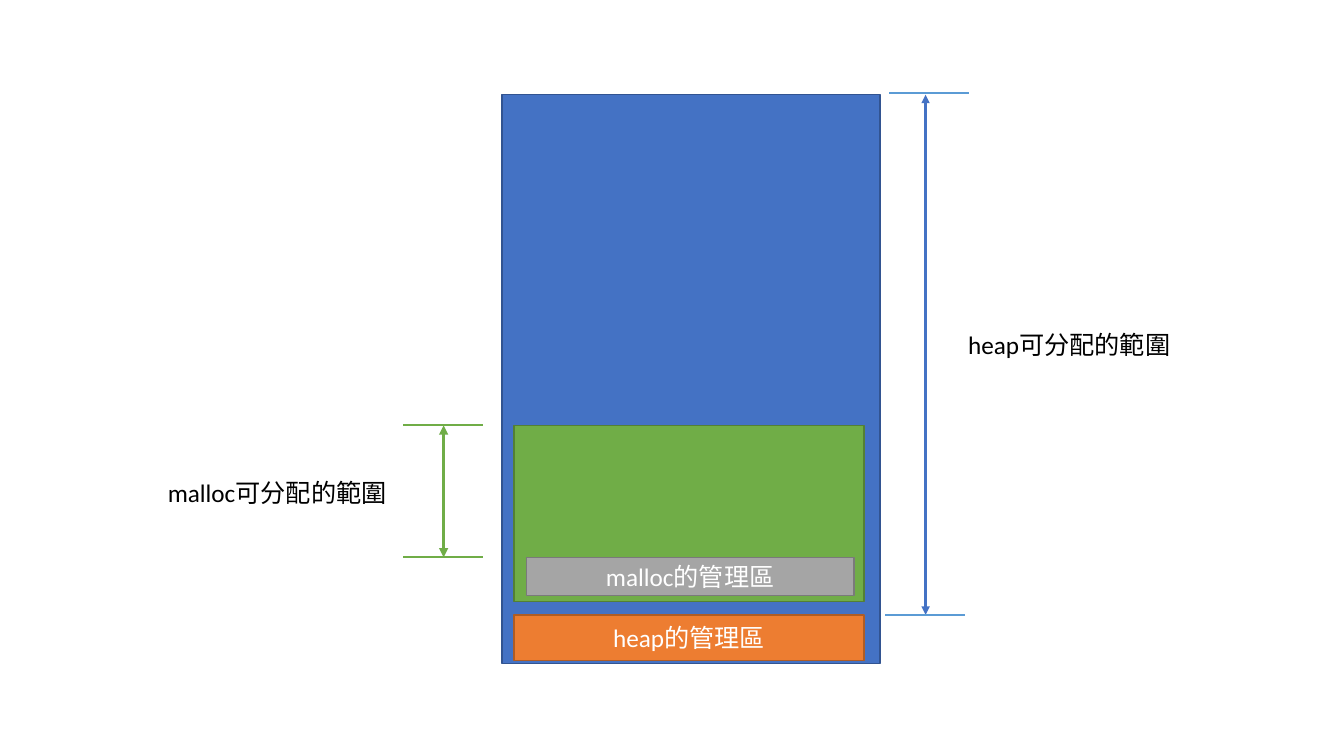
from pptx import Presentation, util as u
from pptx.dml.color import RGBColor
from pptx.enum import shapes, text
from pptx.oxml.ns import qn
from lxml import etree

HUES = {
    "blue": "4472C4", "navy": "325491", "orange": "ED7D31", "rust": "AF5C24",
    "green": "70AD47", "moss": "538035", "gray": "A5A5A5", "slate": "7A7A7A",
    "sky": "5B9BD5", "white": "FFFFFF", "black": "000000",
}


class Page:
    """Holds the style and the slide being drawn."""

    def __init__(self, slide, font="Calibri", size=18):
        self.items, self.font, self.size = slide.shapes, font, size

    def hue(self, name):
        return RGBColor.from_string(HUES[name])

    def letter(self, frame, words, hue):
        frame.word_wrap = True
        para = frame.paragraphs[0]
        para.text = words
        para.alignment = text.PP_ALIGN.CENTER
        para.font.name, para.font.size = self.font, u.Pt(self.size)
        para.font.color.rgb = self.hue(hue)

    def box(self, at, fill, edge, words=None):
        rect = self.items.add_shape(shapes.MSO_SHAPE.RECTANGLE, *map(u.Inches, at))
        rect.shadow.inherit = False
        rect.fill.solid()
        rect.fill.fore_color.rgb = self.hue(fill)
        rect.line.color.rgb = self.hue(edge)
        rect.line.width = u.Pt(1)
        if words:
            rect.text_frame.vertical_anchor = text.MSO_ANCHOR.MIDDLE
            self.letter(rect.text_frame, words, "white")

    def label(self, left, top, width, words):
        area = self.items.add_textbox(*map(u.Inches, (left, top, width, 0.4)))
        self.letter(area.text_frame, words, "black")

    def line(self, ends, hue, width, heads=False):
        rule = self.items.add_connector(shapes.MSO_CONNECTOR.STRAIGHT, *map(u.Inches, ends))
        rule.line.color.rgb = self.hue(hue)
        rule.line.width = u.Pt(width)
        props = rule.element.spPr
        if heads:
            for end in ("a:headEnd", "a:tailEnd"):
                etree.SubElement(props.find(qn("a:ln")), qn(end), type="triangle")
        etree.SubElement(props, qn("a:effectLst"))

    def span(self, x, top, low, hue, width):
        self.line((x, top, x, low), hue, width, heads=True)

    def tick(self, left, y, hue):
        self.line((left, y, left + 0.79, y), hue, 1.5)


deck = Presentation()
deck.slide_width, deck.slide_height = u.Inches(13.33), u.Inches(7.5)
page = Page(deck.slides.add_slide(deck.slide_layouts[6]))

heap_top, heap_low = 0.94, 6.1
block_top, block_low = 4.22, 5.53

page.box((4.98, heap_top, 3.75, 5.64), "blue", "navy")
page.box((5.1, heap_low, 3.47, 0.45), "orange", "rust", "heap的管理區")
page.box((5.1, block_top, 3.47, 1.75), "green", "moss")
page.box((5.22, block_low, 3.25, 0.38), "gray", "slate", "malloc的管理區")

page.label(9.49, 3.22, 2.23, "heap可分配的範圍")
page.span(9.18, heap_top, heap_low, "blue", 2)
page.tick(8.82, 0.92, "sky")
page.tick(8.78, heap_low, "sky")

page.label(1.55, 4.69, 2.4, "malloc可分配的範圍")
page.span(4.4, block_top, block_low, "green", 2.25)
for y in (block_top, block_low):
    page.tick(4, y, "green")

deck.save("out.pptx")
